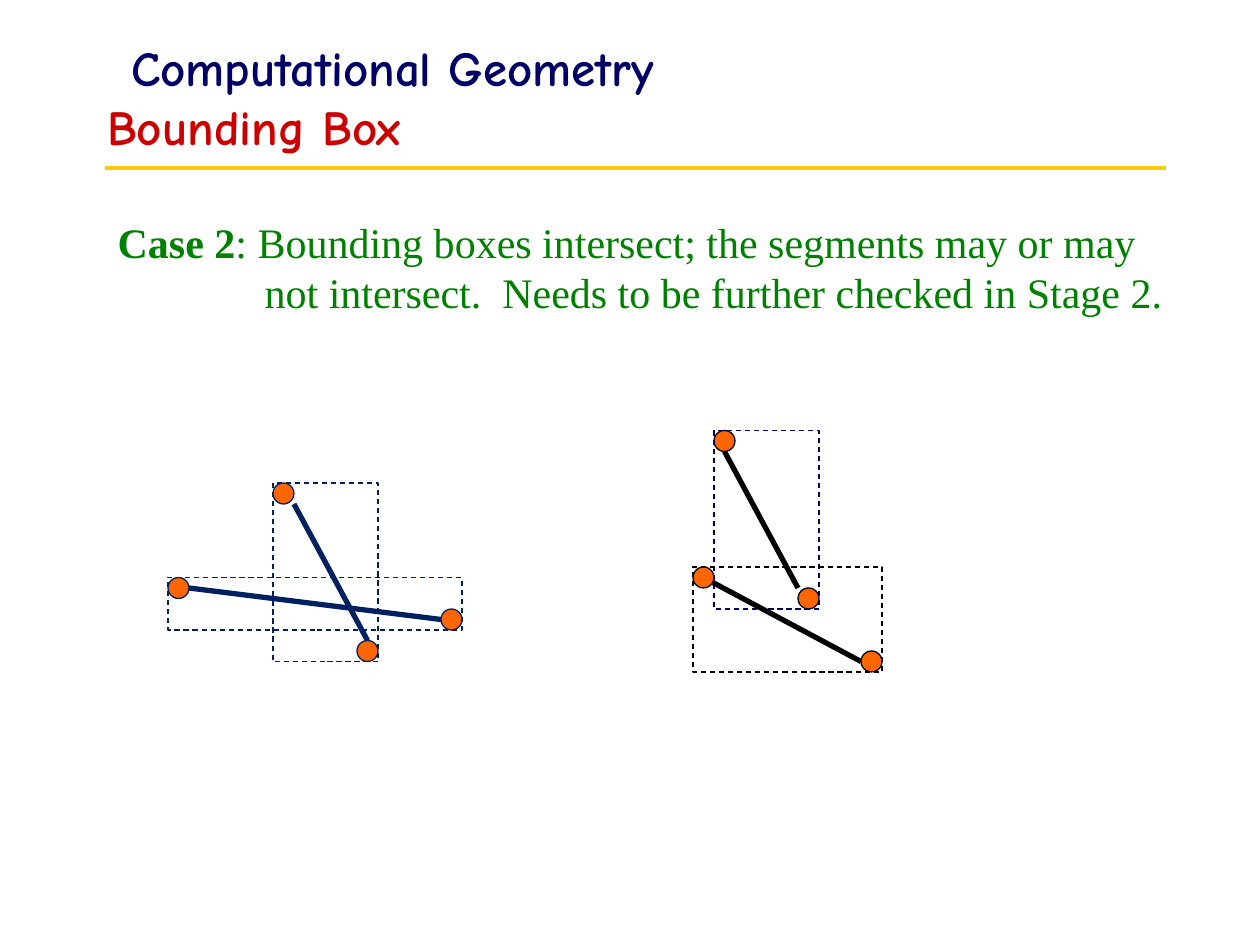
from lxml import etree
from pptx import Presentation
from pptx import util as u
from pptx.dml.color import RGBColor
from pptx.enum import dml, shapes, text
from pptx.oxml.ns import qn

NAVY = RGBColor(0x00, 0x00, 0x66)
INK = RGBColor(0x00, 0x20, 0x60)
BLACK = RGBColor(0x00, 0x00, 0x00)
RED = RGBColor(0xCC, 0x00, 0x00)
GREEN = RGBColor(0x00, 0x80, 0x00)
GOLD = RGBColor(0xFF, 0xCC, 0x00)
ORANGE = RGBColor(0xFF, 0x66, 0x00)

HEADING = {"name": "Comic Neue", "size": u.Pt(28), "bold": True}
BODY = {"name": "Times New Roman", "size": u.Pt(24), "bold": False}


def assign(target, values):
    for name, value in values.items():
        setattr(target, name, value)


class Sketch:
    """Draws styled elements on one slide, on a grid of 120 columns by 90 rows."""

    dot_size = 2

    def __init__(self, deck):
        self.cell = deck.slide_width // 120
        self.page = deck.slides.add_slide(deck.slide_layouts[1])
        self.title_box, self.body_box = self.page.placeholders

    def grid(self, *lengths):
        return [round(length * self.cell) for length in lengths]

    def place(self, box, area, **frame_format):
        box.left, box.top, box.width, box.height = self.grid(*area)
        assign(box.text_frame, {"auto_size": text.MSO_AUTO_SIZE.NONE,
                                "word_wrap": True, **frame_format})
        para = box.text_frame.paragraphs[0]
        para.alignment = text.PP_ALIGN.LEFT
        return para

    def add_span(self, para, words, color, font_format):
        span = para.add_run()
        span.text = words
        assign(span.font, font_format)
        span.font.color.rgb = color

    def header(self, words, area):
        box = self.page.shapes.add_textbox(*self.grid(*area))
        para = self.place(box, area, word_wrap=False)
        self.add_span(para, words, NAVY, HEADING)

    def title(self, words, area):
        para = self.place(self.title_box, area, margin_bottom=u.Inches(0.18),
                          vertical_anchor=text.MSO_ANCHOR.BOTTOM)
        self.add_span(para, words, RED, HEADING)

    def case(self, label, lines, area, hang):
        para = self.place(self.body_box, area,
                          vertical_anchor=text.MSO_ANCHOR.TOP)
        assign(para, {"space_before": u.Pt(0), "line_spacing": u.Pt(28.8)})
        props = para._p.get_or_add_pPr()
        indent, = self.grid(hang)
        props.set("marL", str(indent))
        props.set("indent", str(-indent))
        etree.SubElement(props, qn("a:buNone"))
        self.add_span(para, label, GREEN, {**BODY, "bold": True})
        for number, line in enumerate(lines):
            if number:
                para.add_line_break()
            self.add_span(para, line, GREEN, BODY)

    def line(self, parent, ends, color, width):
        line = parent.add_connector(shapes.MSO_CONNECTOR.STRAIGHT,
                                    *self.grid(*ends))
        line.line.color.rgb = color
        line.line.width = u.Pt(width)
        etree.SubElement(line._element.spPr, qn("a:effectLst"))

    def outline(self, parent, kind, area, color):
        shape = parent.add_shape(kind, *self.grid(*area))
        shape.shadow.inherit = False
        shape.fill.background()
        shape.line.color.rgb = color
        shape.line.width = u.Pt(0.75)
        return shape

    def bounded_segment(self, parent, area, ends, color, box_color):
        left, top, width, height = area
        size = self.dot_size
        self.line(parent, ends, color, 3)
        for x, y in ((left, top), (left + width - size, top + height - size)):
            dot = self.outline(parent, shapes.MSO_SHAPE.OVAL,
                               (x, y, size, size), color)
            dot.fill.solid()
            dot.fill.fore_color.rgb = ORANGE
        box = self.outline(parent, shapes.MSO_SHAPE.RECTANGLE, area, box_color)
        box.line.dash_style = dml.MSO_LINE.DASH


def main():
    deck = Presentation()
    deck.slide_width, deck.slide_height = u.Inches(10), u.Inches(7.5)
    sketch = Sketch(deck)
    page = sketch.page

    sketch.header("Computational Geometry", (11.3, 3, 52.3, 6.8))
    sketch.title("Bounding Box", (9, 2, 102, 15))
    sketch.line(page.shapes, (10, 16, 111, 16), GOLD, 2.25)
    sketch.case("Case 2", (": Bounding boxes intersect; the segments may or may",
                           "not intersect.  Needs to be further checked in Stage 2."),
                (10, 20, 103, 11), 14)

    crossing = page.shapes.add_group_shape().shapes
    for parent, area, ends, color, box_color in (
        (crossing, (26, 46, 10, 17), (28, 48, 35, 61), INK, INK),
        (crossing, (16, 55, 28, 5), (18, 56, 42, 59), INK, INK),
        (page.shapes, (68, 41, 10, 17), (69, 43, 76, 56), BLACK, NAVY),
        (page.shapes, (66, 54, 18, 10), (67, 55, 82, 63), BLACK, BLACK),
    ):
        sketch.bounded_segment(parent, area, ends, color, box_color)

    deck.save("out.pptx")


if __name__ == "__main__":
    main()
